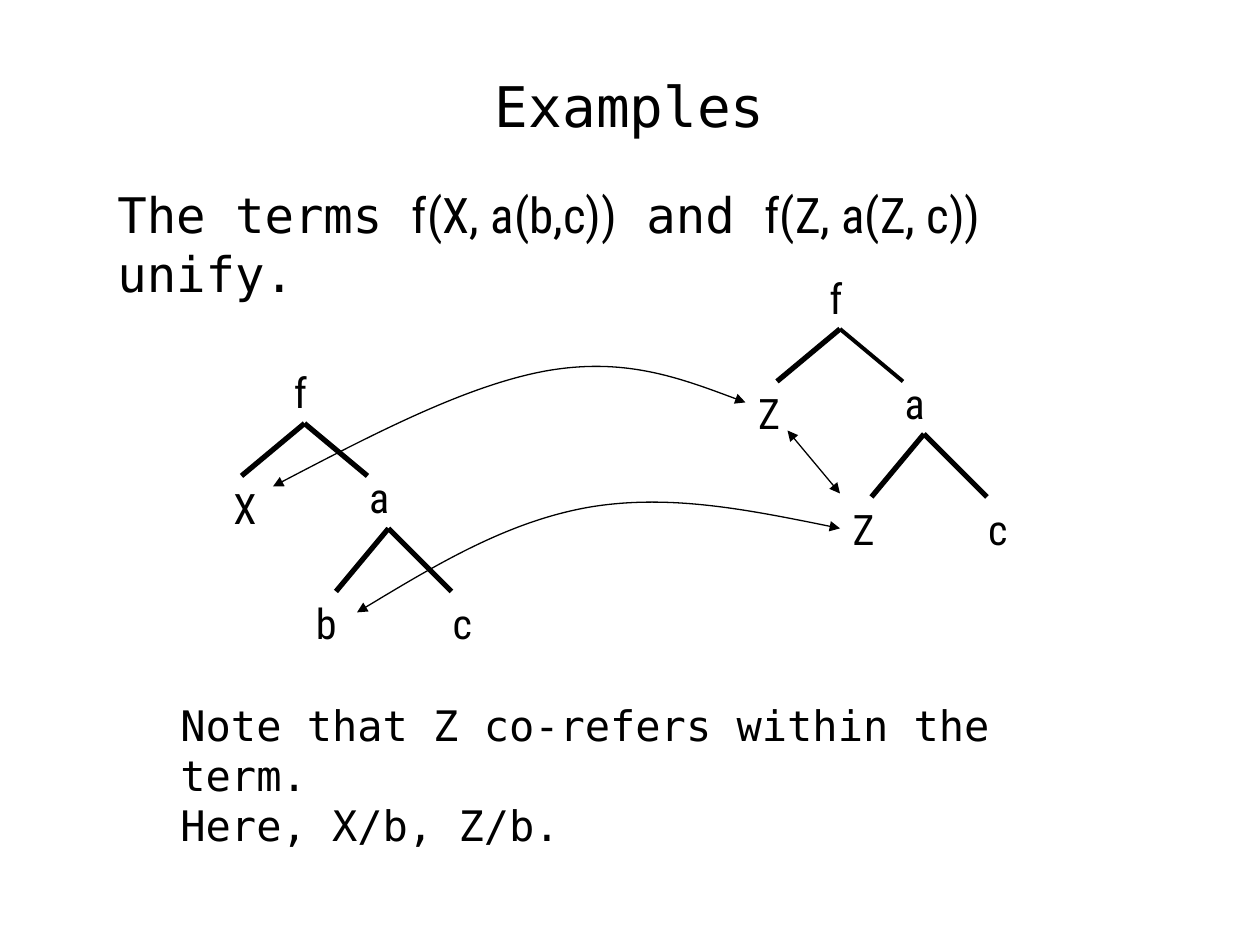
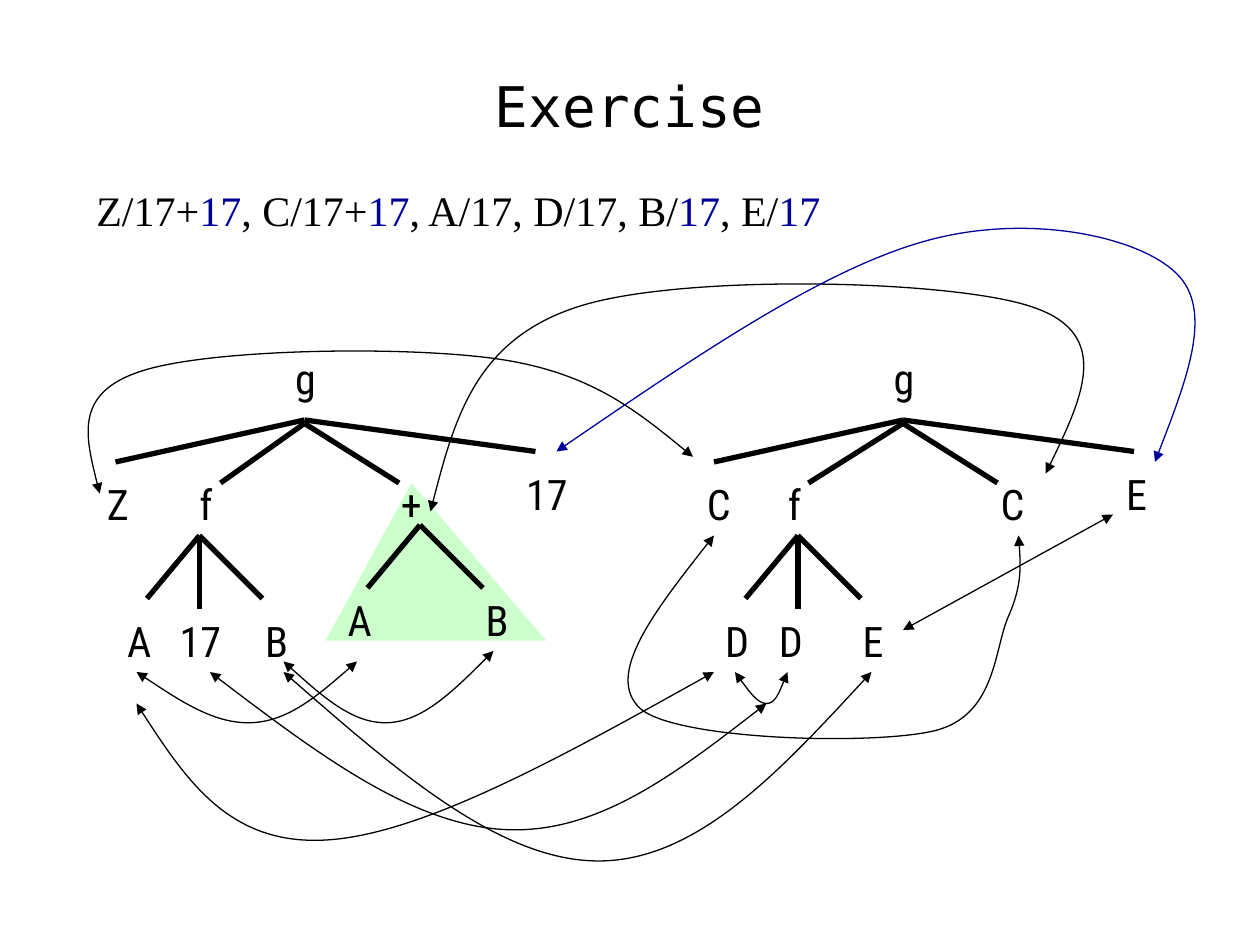
from lxml import etree
from pptx import Presentation
from pptx import util as u
from pptx.dml.color import RGBColor
from pptx.enum import shapes, text
from pptx.oxml.ns import qn

COLUMNS, ROWS = 120, 90
CELL = u.Inches(10) / COLUMNS
BLACK = RGBColor(0x00, 0x00, 0x00)
BLUE = RGBColor(0x00, 0x00, 0x99)
PALE_GREEN = RGBColor(0xCC, 0xFF, 0xCC)
MONO, CONDENSED, SERIF = "DejaVu Sans Mono", "Roboto Condensed", "Times New Roman"
BRANCH_WIDTH, ARROW_WIDTH = 3, 0.75
LABEL_ROWS = 6

TERM_TREE = [
    ((0, 0), [(-6, 5), (6, 5)]),
    ((8, 10), [(3, 16), (14, 16)]),
]
F_SUBTREE = ((-10, 11), [(-15, 17), (-4, 17), (-10, 18)])
PLUS_SUBTREE = ((11, 10), [(6, 16), (17, 16)])
OUTER_BRANCHES = ((0, 0), [(-18, 4), (22, 3)])


def cells(*lengths):
    return [round(length * CELL) for length in lengths]


def add_text(slide, box, paragraphs, font, size, wrap=True,
             align=text.PP_ALIGN.LEFT, anchor=text.MSO_ANCHOR.TOP):
    shape = slide.shapes.add_textbox(*cells(*box))
    frame = shape.text_frame
    frame.word_wrap = wrap
    frame.vertical_anchor = anchor
    for index, runs in enumerate(paragraphs):
        paragraph = frame.add_paragraph() if index else frame.paragraphs[0]
        paragraph.alignment = align
        paragraph.font.name = font
        paragraph.font.size = u.Pt(size)
        paragraph.font.color.rgb = BLACK
        for content, style in runs:
            run = paragraph.add_run()
            run.text = content
            if "font" in style:
                run.font.name = style["font"]
            if "color" in style:
                run.font.color.rgb = style["color"]


def add_title(slide, title):
    add_text(slide, (9, 4, 102, 12), [[(title, {})]], MONO, 32,
             align=text.PP_ALIGN.CENTER, anchor=text.MSO_ANCHOR.MIDDLE)


def add_label(slide, content, center, top):
    width = 7 if len(content) > 1 else 4.7
    add_text(slide, (center - width / 2, top, width, LABEL_ROWS), [[(content, {})]],
             CONDENSED, 24, wrap=False, align=text.PP_ALIGN.CENTER)


def add_line(slide, start, end, width):
    connector = slide.shapes.add_connector(
        shapes.MSO_CONNECTOR.STRAIGHT, *cells(*start, *end))
    connector.line.color.rgb = BLACK
    connector.line.width = u.Pt(width)
    etree.SubElement(connector._element.spPr, qn("a:effectLst"))
    return connector


def add_arrowheads(shape):
    line = shape._element.spPr.find(qn("a:ln"))
    for end in ("a:headEnd", "a:tailEnd"):
        etree.SubElement(line, qn(end), type="triangle")


def add_arrow(slide, start, end):
    add_arrowheads(add_line(slide, start, end, ARROW_WIDTH))


def add_curve(slide, points, color=BLACK):
    start, *controls = [cells(*point) for point in points]
    builder = slide.shapes.build_freeform(*start)
    builder.add_line_segments(controls, close=False)
    shape = builder.convert_to_shape()
    shape.fill.background()
    shape.line.color.rgb = color
    shape.line.width = u.Pt(ARROW_WIDTH)
    shape.shadow.inherit = False
    segments = list(shape._element.iter(qn("a:lnTo")))
    outline = segments[0].getparent()
    for first in range(0, len(segments), 3):
        bezier = etree.SubElement(outline, qn("a:cubicBezTo"))
        for segment in segments[first:first + 3]:
            bezier.append(segment[0])
            outline.remove(segment)
    add_arrowheads(shape)


def add_tree(slide, root, branches, labels, thin_ends=()):
    column, row = root
    for content, center, top in labels:
        add_label(slide, content, column + center, row + top)
    for (x, y), ends in branches:
        for end in ends:
            width = 2.25 if end in thin_ends else BRANCH_WIDTH
            add_line(slide, (column + x, row + y),
                     (column + end[0], row + end[1]), width)


def build_examples(slide):
    add_title(slide, "Examples")
    term = {"font": CONDENSED}
    add_text(slide, (10, 17, 102, 10), [[
        ("The terms ", {}), ("f(X, a(b,c))", term), (" and ", {}),
        ("f(Z, a(Z, c))", term), (" unify.", {})]], MONO, 28)
    shared = [("f", -0.38, -6), ("a", 7.12, 4), ("c", 15.04, 16)]
    add_tree(slide, (80, 31.33), TERM_TREE,
             shared + [("Z", -6.74, 5), ("Z", 2.26, 16)], thin_ends=[(6, 5)])
    add_tree(slide, (29, 40.33), TERM_TREE,
             shared + [("X", -5.66, 5), ("b", 2.08, 16)])
    add_curve(slide, [(26, 46.33), (35.25, 41.5), (44.5, 36.7), (52, 35.33),
                      (59.5, 34), (65.25, 36.17), (71, 38.33)])
    add_curve(slide, [(34, 58.33), (41.17, 54), (48.33, 49.7), (56, 48.33),
                      (63.67, 47), (71.83, 48.67), (80, 50.33)])
    add_arrow(slide, (75, 41), (80, 47))
    add_text(slide, (16, 66, 83.2, 10.8), [
        [("Note that Z co-refers within the term.", {})],
        [("Here, X/b, Z/b.", {})]], MONO, 24)


def add_plus_highlight(slide, box):
    triangle = slide.shapes.add_shape(
        shapes.MSO_SHAPE.ISOSCELES_TRIANGLE, *cells(*box))
    triangle.adjustments[0] = 0.39
    triangle.fill.solid()
    triangle.fill.fore_color.rgb = PALE_GREEN
    triangle.line.fill.background()
    triangle.shadow.inherit = False


def build_exercise(slide):
    add_plus_highlight(slide, (31, 46, 21, 15))
    add_title(slide, "Exercise")
    add_tree(slide, (29, 40),
             [OUTER_BRANCHES, ((0, 0.33), [(-8, 6), (9, 6)]), F_SUBTREE, PLUS_SUBTREE],
             [("g", 0.1, -7), ("Z", -17.78, 5), ("f", -9.38, 5), ("+", 10.18, 5),
              ("17", 23.08, 4), ("A", -15.74, 18), ("17", -9.92, 18),
              ("B", -2.66, 18), ("A", 5.26, 16), ("B", 18.34, 16)])
    add_tree(slide, (86, 40),
             [OUTER_BRANCHES, ((0, 0.33), [(-9, 6), (9, 6)]), F_SUBTREE],
             [("g", 0.1, -7), ("C", -17.54, 5), ("f", -10.34, 5), ("C", 10.42, 5),
              ("E", 22.24, 4), ("D", -15.8, 18), ("D", -10.67, 18), ("E", -2.86, 18)])
    add_arrow(slide, (86, 60), (106, 49))
    bindings = [
        [(13, 64), (16.75, 66.5), (20.5, 69), (24, 68.83),
         (27.5, 68.67), (30.75, 65.83), (34, 63)],
        [(27, 63), (30.33, 66), (33.67, 69), (37, 68.83),
         (40.33, 68.67), (43.67, 65.33), (47, 62)],
        [(70, 64), (71.08, 65.5), (72.17, 67), (73, 67),
         (73.83, 67), (74.42, 65.5), (75, 64)],
        [(68, 51), (62.75, 57.67), (57.5, 64.33), (61, 67.5),
         (64.5, 70.5), (83.17, 71), (89, 69.6),
         (94.83, 68.17), (94.67, 61.92), (96, 58.8),
         (97.33, 55.8), (97.2, 53.4), (97, 51)],
        [(66, 43.5), (61.1, 39.5), (56.3, 35.5), (47.5, 34.2),
         (38.6, 32.9), (19.7, 33.2), (13.3, 35.4),
         (7, 37.5), (8.3, 42.2), (9.5, 47)],
        [(13, 67), (17.4, 73.8), (21.8, 80.5), (31, 80),
         (40.2, 79.5), (54.1, 71.75), (68, 64)],
        [(20, 64), (29.6, 71.3), (39.1, 78.5), (48, 79),
         (56.9, 79.5), (64.9, 73.25), (73, 67)],
        [(27, 64), (37.3, 73), (47.6, 82), (57, 82),
         (66.4, 82), (74.7, 73), (83, 64)],
        [(41, 48.7), (43.1, 40.6), (45.2, 32.5), (54.8, 29.3),
         (64.4, 26), (91.1, 26.6), (98.5, 29.3),
         (106, 31.9), (102.8, 38.5), (99.6, 45.1)],
    ]
    for points in bindings:
        add_curve(slide, points)
    add_curve(slide, [(53, 43), (65.6, 34.4), (78.1, 25.8), (88, 23),
                      (97.8, 20.2), (108.4, 22.5), (112, 26),
                      (115.7, 29.5), (112.8, 36.7), (110, 44)], BLUE)
    answer = []
    for prefix in ("Z/17+", ", C/17+", ", A/17, D/17, B/", ", E/"):
        answer += [(prefix, {}), ("17", {"color": BLUE})]
    add_text(slide, (8, 17, 71.5, LABEL_ROWS), [answer], SERIF, 24, wrap=False)


def main():
    presentation = Presentation()
    presentation.slide_width, presentation.slide_height = cells(COLUMNS, ROWS)
    blank = presentation.slide_layouts[6]
    for build in (build_examples, build_exercise):
        build(presentation.slides.add_slide(blank))
    presentation.save("out.pptx")


if __name__ == "__main__":
    main()
